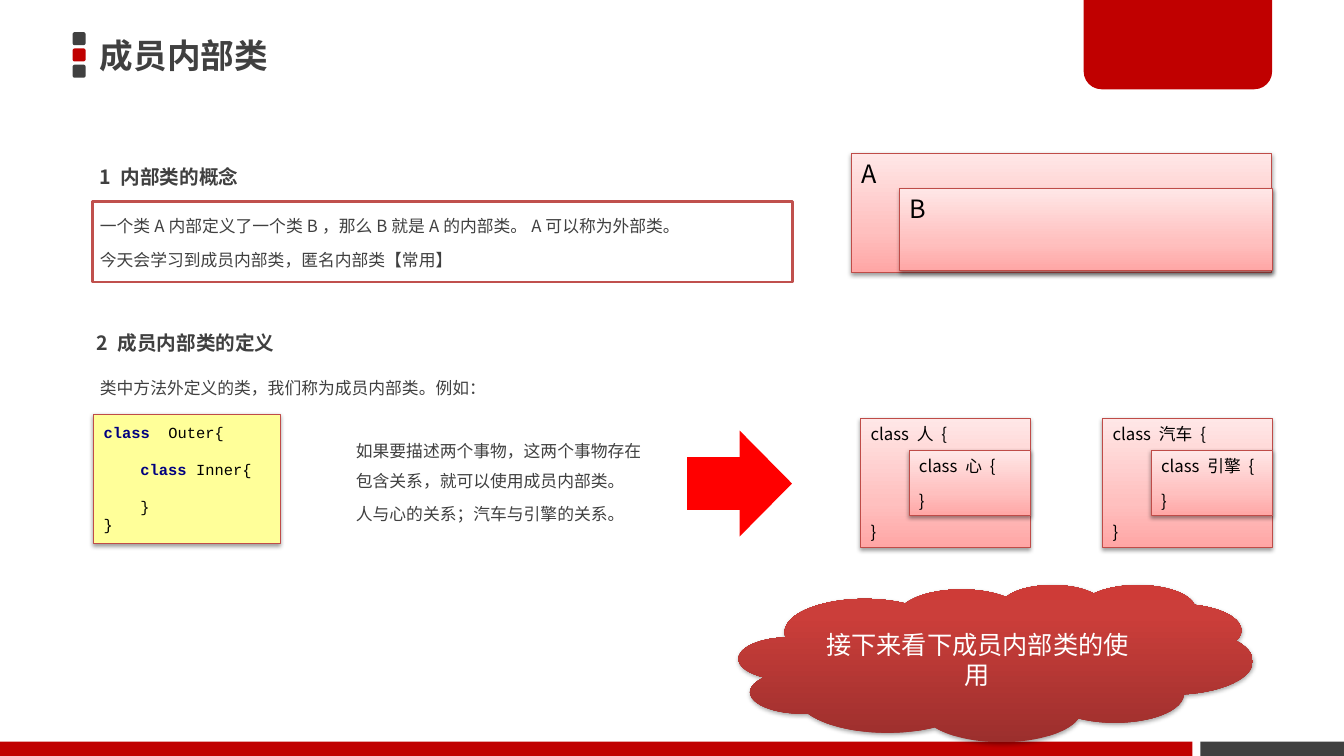
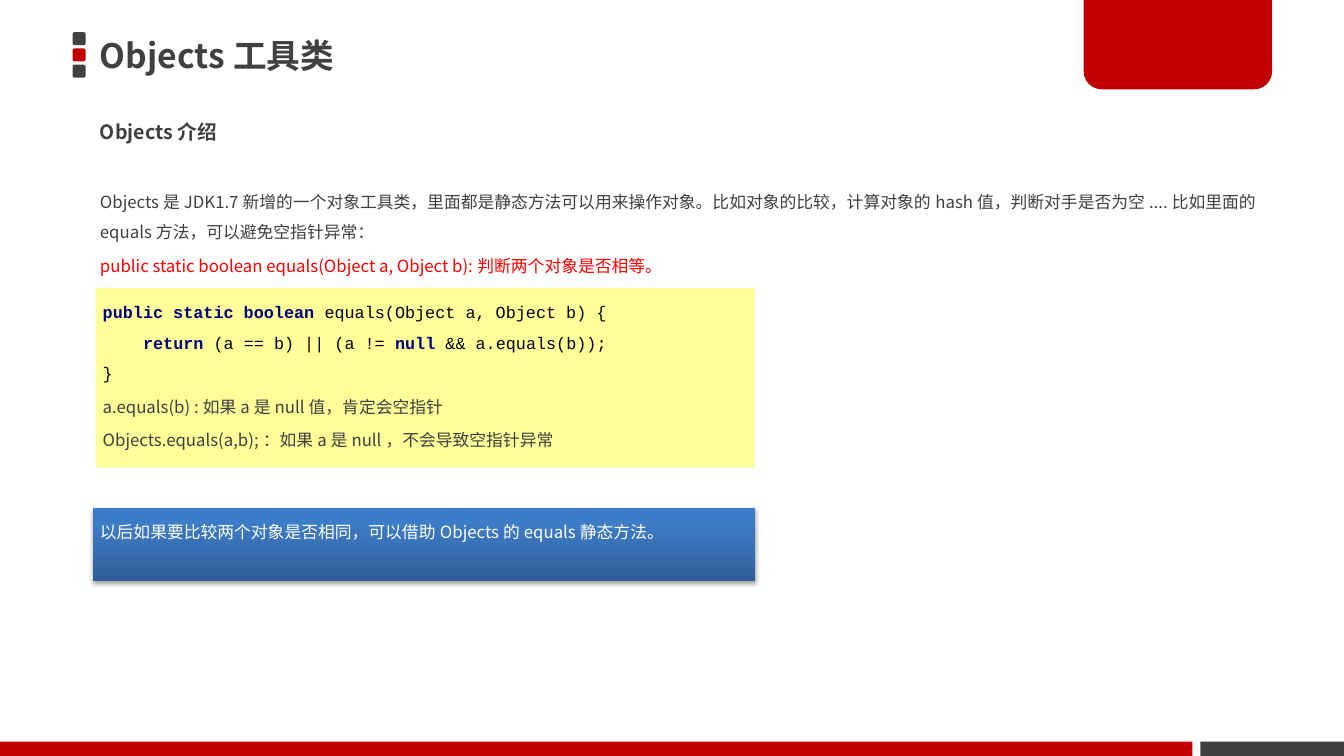
from lxml.etree import SubElement
from pptx import Presentation
from pptx.dml.color import RGBColor as RGB
from pptx.enum.shapes import MSO_SHAPE as Form
from pptx.enum.text import MSO_ANCHOR as Anchor, MSO_AUTO_SIZE as Auto, PP_ALIGN as Align
from pptx.oxml.ns import qn
from pptx.util import Cm, Pt

RED = RGB(0xC0, 0x00, 0x00)
DARK = RGB(0x40, 0x40, 0x40)
BLACK = RGB(0x00, 0x00, 0x00)
WHITE = RGB(0xFF, 0xFF, 0xFF)
HOT = RGB(0xFF, 0x00, 0x00)
NAVY = RGB(0x00, 0x00, 0x80)
CREAM = RGB(0xFF, 0xFF, 0x99)
EDGE = RGB(0xBF, 0x4C, 0x48)
FRAME = RGB(0xC0, 0x50, 0x4D)
PINK = ((0, RGB(0xFF, 0xA6, 0xA5)), (35, RGB(0xFF, 0xC0, 0xBF)), (100, RGB(0xFF, 0xE7, 0xE7)))
BRICK = ((0, RGB(0x9C, 0x2F, 0x2D)), (80, RGB(0xCB, 0x3E, 0x3A)), (100, RGB(0xCE, 0x3B, 0x37)))
BLUE = ((0, RGB(0x2F, 0x5F, 0x99)), (80, RGB(0x3D, 0x7C, 0xC7)), (100, RGB(0x3A, 0x7C, 0xCB)))
SANS = "Noto Sans CJK JP"
MONO = "Courier New"
WIDE, HIGH = 33.87, 19.05


def place(*sides):
    return [Cm(side) for side in sides]


def blend(shape, stops):
    shape.fill.gradient()
    shape.fill.gradient_angle = 90
    grad = shape.element.spPr.find(qn("a:gradFill"))
    group = grad.find(qn("a:gsLst"))
    for stop in list(group):
        group.remove(stop)
    for spot, tint in stops:
        stop = SubElement(group, qn("a:gs"), pos=str(spot * 1000))
        SubElement(stop, qn("a:srgbClr"), val=str(tint))


def shade(shape, alpha):
    group = shape.element.spPr.find(qn("a:effectLst"))
    glow = SubElement(group, qn("a:outerShdw"), blurRad=str(Pt(3.1)), dist=str(Pt(1.6)),
                      dir="5400000", rotWithShape="0")
    tint = SubElement(glow, qn("a:srgbClr"), val=str(BLACK))
    SubElement(tint, qn("a:alpha"), val=str(alpha * 1000))


def draw(slide, area, fill, form=Form.RECTANGLE, edge=None, thick=0.75, alpha=0):
    shape = slide.shapes.add_shape(form, *place(*area))
    shape.shadow.inherit = False
    if isinstance(fill, RGB):
        shape.fill.solid()
        shape.fill.fore_color.rgb = fill
    else:
        blend(shape, fill)
    if edge is None:
        shape.line.fill.background()
    else:
        shape.line.color.rgb = edge
        shape.line.width = Pt(thick)
    if alpha:
        shade(shape, alpha)
    return shape


def setup(shape, anchor=Anchor.TOP, tight=True):
    frame = shape.text_frame
    frame.word_wrap = True
    frame.auto_size = Auto.NONE
    frame.vertical_anchor = anchor
    if tight:
        frame.margin_left = frame.margin_right = Cm(0.18)
        frame.margin_top = frame.margin_bottom = Cm(0.1)
    return frame


def write(frame, *runs, size=12, tint=DARK, bold=False, face=SANS,
          before=0, lead=None, pad=0, align=Align.LEFT):
    para = frame.paragraphs[0]
    if para.runs:
        para = frame.add_paragraph()
    para.alignment = align
    para.space_before = Pt(before)
    if lead:
        para.line_spacing = lead
    if pad:
        para._p.get_or_add_pPr().set("marL", str(Pt(pad)))
    for item in runs:
        key = isinstance(item, tuple)
        text, hue = item if key else (item, tint)
        run = para.add_run()
        run.text = text
        font = run.font
        font.size = Pt(size)
        font.bold = bold or key
        font.color.rgb = hue
        font.name = face
        SubElement(run._r.get_or_add_rPr(), qn("a:ea"), typeface=SANS)


def body(frame, text, tint=DARK):
    write(frame, text, tint=tint, before=2.4, lead=1.5)


def label(slide, area, anchor=Anchor.TOP):
    return setup(slide.shapes.add_textbox(*place(*area)), anchor)


def head(slide, left, top, text):
    frame = label(slide, (left, top, 13.82, 1.45), Anchor.MIDDLE)
    write(frame, text, size=14, bold=True, before=2.8)


def panel(slide, area, anchor=Anchor.MIDDLE, fill=PINK):
    shape = draw(slide, area, fill, edge=EDGE, alpha=38)
    return setup(shape, anchor, tight=False)


def block(slide, area, name, gap):
    frame = panel(slide, area)
    write(frame, f"class {name} {{", tint=BLACK)
    write(frame, "}", tint=BLACK, before=gap)


def nest(slide, left, outer, inner):
    top = 10.54
    block(slide, (left, top, 4.27, 3.25), outer, 55)
    block(slide, (left + 1.22, top + 0.81, 3.07, 1.65), inner, 11)


def brand(slide, layout):
    marks = [draw(slide, (1.83, 0.81 + 0.41 * row, 0.33, 0.33), tint, Form.ROUNDED_RECTANGLE)
             for row, tint in enumerate((DARK, RED, DARK))]
    tab = draw(slide, (27.31, 0, 4.75, 2.25), RED, Form.ROUND_2_SAME_RECTANGLE)
    tab.adjustments[0] = 0
    tab.adjustments[1] = 0.2
    band = draw(slide, (0, 18.69, 30.05, 0.36), RED)
    foot = draw(slide, (30.25, 18.69, 3.62, 0.36), DARK)
    for shape in (*marks, tab, band, foot):
        layout.shapes.element.append(shape.element)


def prep(layout):
    for holder in list(layout.placeholders):
        if holder.placeholder_format.idx:
            holder.element.getparent().remove(holder.element)
        else:
            holder.left, holder.top, holder.width, holder.height = place(2.34, 0.66, 24.36, 1.45)


def start(deck, layout, text):
    slide = deck.slides.add_slide(layout)
    frame = setup(slide.shapes.title, Anchor.MIDDLE)
    write(frame, text, size=24, bold=True)
    return slide


def inner(slide):
    head(slide, 2.34, 3.73, "1 内部类的概念")
    idea = draw(slide, (2.34, 5.08, 17.63, 2.03), WHITE, edge=FRAME, thick=2)
    frame = setup(idea)
    body(frame, "一个类A内部定义了一个类B，那么B就是A的内部类。A可以称为外部类。")
    body(frame, "今天会学习到成员内部类，匿名内部类【常用】")

    head(slide, 2.26, 7.92, "2 成员内部类的定义")
    body(label(slide, (2.34, 9.17, 10.08, 1.02)), "类中方法外定义的类，我们称为成员内部类。例如：")

    for name, area in (("A", (21.46, 3.86, 10.59, 3)), ("B", (22.68, 4.75, 9.4, 2.08))):
        write(panel(slide, area, Anchor.TOP), name, size=18, tint=BLACK)

    code = panel(slide, (2.36, 10.44, 4.7, 3.25), fill=CREAM)
    lines = (
        (("class  ", NAVY), "Outer{", 0, 0),
        (("class ", NAVY), "Inner{", 13, 26.4),
        ("}", 13, 26.4),
        ("}", 0, 0),
    )
    for *runs, gap, pad in lines:
        write(code, *runs, size=11, tint=BLACK, face=MONO, before=gap, pad=pad)

    use = label(slide, (8.79, 10.74, 7.75, 2.67))
    body(use, "如果要描述两个事物，这两个事物存在包含关系，就可以使用成员内部类。")
    body(use, "人与心的关系；汽车与引擎的关系。")
    draw(slide, (17.32, 10.85, 2.64, 2.67), HOT, Form.RIGHT_ARROW)
    nest(slide, 21.69, "人", "心")
    nest(slide, 27.79, "汽车", "引擎")

    cloud = draw(slide, (18.62, 14.73, 12.95, 3.96), BRICK, Form.CLOUD, alpha=35)
    frame = setup(cloud, Anchor.MIDDLE, tight=False)
    write(frame, "接下来看下成员内部类的使用", size=18, tint=WHITE, align=Align.CENTER)


def tools(slide):
    head(slide, 2.34, 2.59, "Objects介绍")
    about = label(slide, (2.34, 4.47, 29.62, 1.85))
    body(about, "Objects是JDK1.7新增的一个对象工具类，里面都是静态方法可以用来操作对象。"
                "比如对象的比较，计算对象的hash值，判断对手是否为空....比如里面的"
                "equals方法，可以避免空指针异常：")
    body(about, "public static boolean equals(Object a, Object b):判断两个对象是否相等。", HOT)

    code = setup(draw(slide, (2.41, 7.26, 16.61, 4.52), CREAM))
    lines = (
        (("public static boolean ", NAVY), "equals(Object a, Object b) {", 2.4, 0),
        (("return ", NAVY), "(a == b) || (a != ", ("null ", NAVY), "&& a.equals(b));", 0, 28.8),
        ("}", 0, 0),
    )
    for *runs, gap, pad in lines:
        write(code, *runs, tint=BLACK, face=MONO, before=gap, lead=1.5, pad=pad)
    body(code, "a.equals(b) :如果a是null值，肯定会空指针")
    body(code, "Objects.equals(a,b);：如果a是null，不会导致空指针异常")

    tip = draw(slide, (2.34, 12.8, 16.69, 1.85), BLUE, alpha=35)
    body(setup(tip), "以后如果要比较两个对象是否相同，可以借助Objects的equals静态方法。", WHITE)


def main():
    deck = Presentation()
    deck.slide_width, deck.slide_height = place(WIDE, HIGH)
    layout = deck.slide_layouts[5]
    prep(layout)
    first = start(deck, layout, "成员内部类")
    brand(first, layout)
    inner(first)
    tools(start(deck, layout, "Objects工具类"))
    deck.save("out.pptx")


main()
